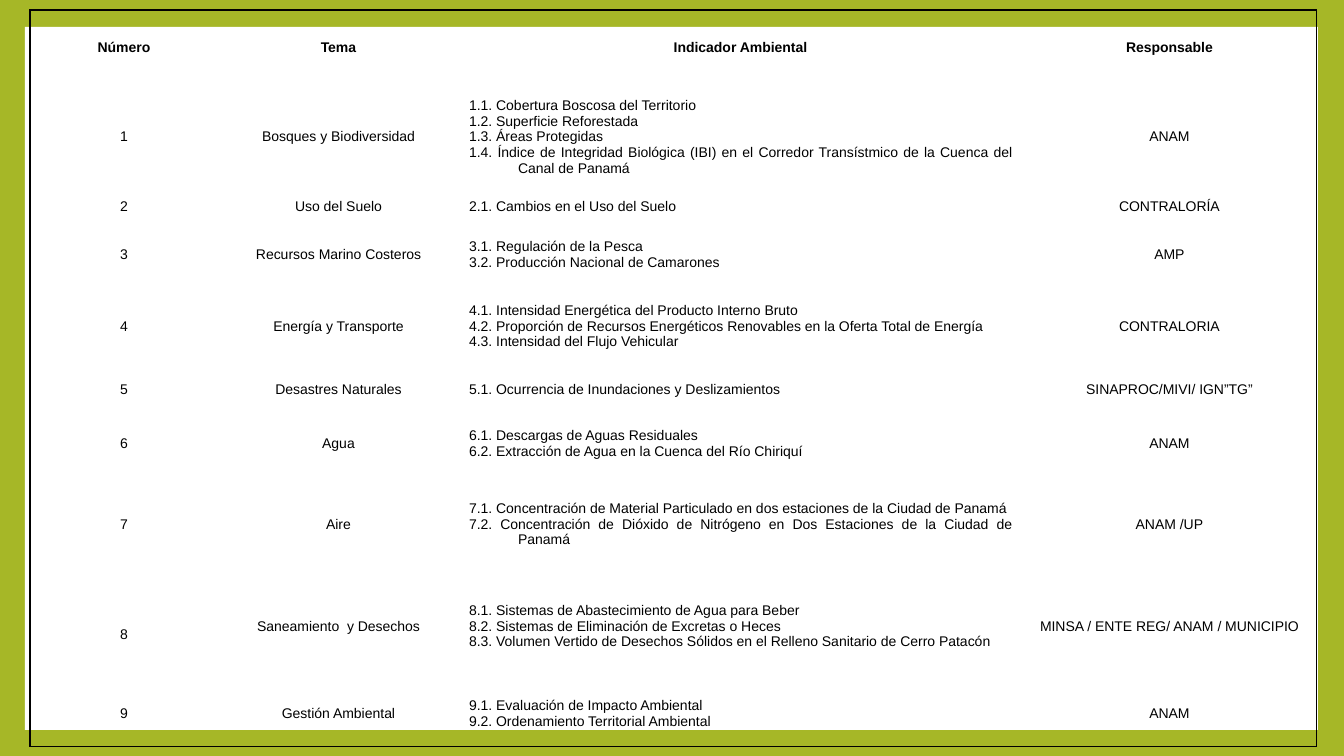
"""Build the slide listing environmental indicators by theme and responsible body."""
from lxml import etree
from pptx import Presentation, util as u
from pptx.dml.color import RGBColor
from pptx.enum import shapes, text
from pptx.oxml import ns


def px(pixels):
    return u.Emu(round(pixels * 914400 / 100.8))


def colour(value):
    return RGBColor.from_string(value)


HEADINGS = ["Número", "Tema", "Indicador Ambiental", "Responsable"]
THEMES = [
    ("Bosques y Biodiversidad", "ANAM", [
        "Cobertura Boscosa del Territorio",
        "Superficie Reforestada",
        "Áreas Protegidas",
        "Índice de Integridad Biológica (IBI) en el Corredor Transístmico "
        "de la Cuenca del Canal de Panamá"]),
    ("Uso del Suelo", "CONTRALORÍA", ["Cambios en el Uso del Suelo"]),
    ("Recursos Marino Costeros", "AMP", [
        "Regulación de la Pesca",
        "Producción Nacional de Camarones"]),
    ("Energía y Transporte", "CONTRALORIA", [
        "Intensidad Energética del Producto Interno Bruto",
        "Proporción de Recursos Energéticos Renovables en la Oferta Total de Energía",
        "Intensidad del Flujo Vehicular"]),
    ("Desastres Naturales", "SINAPROC/MIVI/ IGN”TG”", [
        "Ocurrencia de Inundaciones y Deslizamientos"]),
    ("Agua", "ANAM", [
        "Descargas de Aguas Residuales",
        "Extracción de Agua en la Cuenca del Río Chiriquí"]),
    ("Aire", "ANAM /UP", [
        "Concentración de Material Particulado en dos estaciones de la Ciudad de Panamá",
        "Concentración de Dióxido de Nitrógeno en Dos Estaciones de la Ciudad de Panamá"]),
    ("Saneamiento\u00a0 y Desechos", "MINSA / ENTE REG/ ANAM / MUNICIPIO", [
        "Sistemas de Abastecimiento de Agua para Beber",
        "Sistemas de Eliminación de Excretas o Heces",
        "Volumen Vertido de Desechos Sólidos en el Relleno Sanitario de Cerro Patacón"]),
    ("Gestión Ambiental", "ANAM", [
        "Evaluación de Impacto Ambiental",
        "Ordenamiento Territorial Ambiental"]),
]
COLUMN_WIDTHS = [188, 241, 563, 295]
ROW_HEIGHTS = [76, 102, 37, 59, 85, 41, 67, 95, 109, 66]
NO_STYLE = "{2D5ABB26-0587-4C30-8999-92F81FD0307C}"

deck = Presentation()
deck.slide_width, deck.slide_height = px(1344), px(756)
page = deck.slides.add_slide(deck.slide_layouts[6])
page.background.fill.solid()
page.background.fill.fore_color.rgb = colour("A6B727")

panel = page.shapes.add_shape(
    shapes.MSO_SHAPE.RECTANGLE, px(25), px(27), px(1293), px(703))
panel.shadow.inherit = False
panel.fill.solid()
panel.fill.fore_color.rgb = colour("FFFFFF")
panel.line.fill.background()

rows = [[[heading] for heading in HEADINGS]]
for number, (theme, responsible, indicators) in enumerate(THEMES, 1):
    numbered = [f"{number}.{i}. {name}" for i, name in enumerate(indicators, 1)]
    rows.append([[str(number)], [theme], numbered, [responsible]])

frame = page.shapes.add_table(
    len(rows), len(HEADINGS), px(30), px(10), px(sum(COLUMN_WIDTHS)), px(sum(ROW_HEIGHTS)))
table = frame.table
table.first_row = table.horz_banding = False
table._tbl.tblPr.find(ns.qn("a:tableStyleId")).text = NO_STYLE
for column, width in zip(table.columns, COLUMN_WIDTHS):
    column.width = px(width)
for row, height in zip(table.rows, ROW_HEIGHTS):
    row.height = px(height)

last_row, last_column = len(rows) - 1, len(HEADINGS) - 1
for r, row in enumerate(rows):
    for c, lines in enumerate(row):
        cell = table.cell(r, c)
        cell.vertical_anchor = text.MSO_ANCHOR.MIDDLE
        cell.fill.background()
        listed = r > 0 and c == 2
        for i, line in enumerate(lines):
            para = cell.text_frame.paragraphs[0] if i == 0 else cell.text_frame.add_paragraph()
            para.alignment = text.PP_ALIGN.JUSTIFY if listed else text.PP_ALIGN.CENTER
            settings = para._p.get_or_add_pPr()
            settings.set("marL", str(px(49)))
            settings.set("indent", str(-px(49)))
            span = para.add_run()
            span.text = line
            span.font.name, span.font.size = "Arial", u.Pt(10)
            span.font.bold = r == 0
            span.font.color.rgb = colour("000000")
        outer = [("lnL", c == 0), ("lnR", c == last_column),
                 ("lnT", r == 0), ("lnB", r == last_row)]
        edges = [edge for edge, drawn in outer if drawn]
        for place, edge in enumerate(edges):
            border = etree.Element(ns.qn(f"a:{edge}"), w=str(u.Pt(1)))
            fill = etree.SubElement(border, ns.qn("a:solidFill"))
            etree.SubElement(fill, ns.qn("a:srgbClr"), val="000000")
            cell._tc.tcPr.insert(place, border)

table.cell(8, 0).margin_top = px(21)

deck.save("out.pptx")
